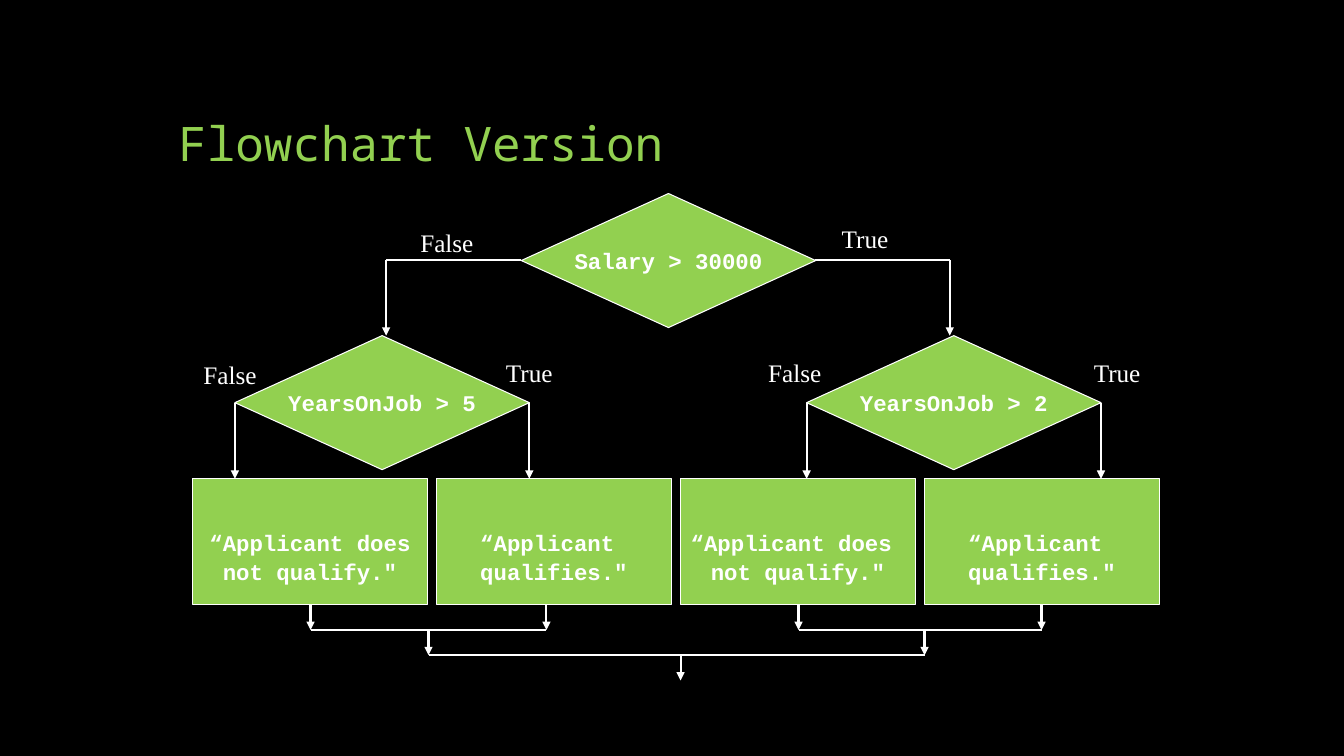
from pptx import Presentation
from pptx.dml.color import RGBColor
from pptx.enum import shapes, text
from pptx.oxml import ns
from pptx.util import Inches, Pt
from lxml import etree

# Content
TITLE = "Flowchart Version"
TESTS = [("Salary > 30000", 5.17, 1.92),
         ("YearsOnJob > 5", 2.33, 3.33),
         ("YearsOnJob > 2", 8, 3.33)]
RESULTS = [(" “Applicant does ", "not qualify.\""),
           ("“Applicant ", "qualifies.\""),
           ("“Applicant does ", "not qualify.\""),
           ("“Applicant ", "qualifies.\"")]
LABELS = [("False", 4.07, 2.21), ("True", 8.25, 2.17),
          ("False", 1.92, 3.52), ("True", 4.92, 3.5),
          ("False", 7.52, 3.5), ("True", 10.75, 3.5)]
GREEN, WHITE, BLACK = "92D050", "FFFFFF", "000000"

# Layout in inches
TEST_W, TEST_H = 2.92, 1.33
BOX_X, BOX_Y, BOX_W, BOX_H, BOX_STEP = 1.91, 4.75, 2.33, 1.25, 2.42
SPLIT_Y, TEST_Y, SIDE_Y = 2.58, 3.33, 4
EXIT_Y, STEP = BOX_Y + BOX_H, 0.25
JOIN_Y, LAST_Y = EXIT_Y + STEP, EXIT_Y + 2 * STEP
BRANCHES = [(5.17, 3.83), (8.08, 9.42)]         # side of the top test, drop
JOINS = [(3.08, 5.42, 4.25), (7.92, 10.33, 9.17)]  # left, right, exit
END_X = 6.75

prs = Presentation()
prs.slide_width, prs.slide_height = Inches(13.33), Inches(7.5)
slide = prs.slides.add_slide(prs.slide_layouts[5])


def color(code):
    return RGBColor.from_string(code)


def style(par, face, size, code, bold=False):
    font = par.font
    font.name, font.size, font.bold = face, Pt(size), bold
    font.color.rgb = color(code)


def add_node(kind, lines, x, y, w, h, top=0.05):
    node = slide.shapes.add_shape(kind, *map(Inches, (x, y, w, h)))
    node.shadow.inherit = False
    node.fill.solid()
    node.fill.fore_color.rgb = color(GREEN)
    node.line.color.rgb = color(WHITE)
    node.line.width = Pt(0.75)
    frame = node.text_frame
    frame.word_wrap = False
    frame.vertical_anchor = text.MSO_ANCHOR.MIDDLE
    frame.margin_top = Inches(top)
    frame.text = "\n".join(lines)
    for par in frame.paragraphs:
        par.alignment = text.PP_ALIGN.CENTER
        style(par, "Courier New", 16, WHITE, True)
    for par in frame.paragraphs[1:]:
        par.space_before = Pt(1.5)


def add_line(x1, y1, x2, y2, arrow=False):
    line = slide.shapes.add_connector(
        shapes.MSO_CONNECTOR.STRAIGHT, *map(Inches, (x1, y1, x2, y2)))
    line.line.color.rgb = color(WHITE)
    line.line.width = Pt(1.5)
    if arrow:
        etree.SubElement(line.line._get_or_add_ln(), ns.qn("a:tailEnd"),
                         type="triangle")
    etree.SubElement(line._element.spPr, ns.qn("a:effectLst"))


def add_drop(x, top, end):
    add_line(x, top, x, end, arrow=True)


# Background and title
slide.background.fill.solid()
slide.background.fill.fore_color.rgb = color(BLACK)
title = slide.shapes.title
title.left, title.top, title.width, title.height = map(
    Inches, (1.67, 0.5, 10, 1.25))
title.text = TITLE
title.text_frame.auto_size = text.MSO_AUTO_SIZE.NONE
title.text_frame.vertical_anchor = text.MSO_ANCHOR.BOTTOM
head = title.text_frame.paragraphs[0]
head.alignment, head.line_spacing = text.PP_ALIGN.LEFT, 0.9
style(head, "Noto Sans Mono", 34, GREEN)

# Tests and results
for words, x, y in TESTS:
    add_node(shapes.MSO_SHAPE.FLOWCHART_DECISION, [words],
             x, y, TEST_W, TEST_H)
for i, lines in enumerate(RESULTS):
    add_node(shapes.MSO_SHAPE.FLOWCHART_PROCESS, lines,
             BOX_X + i * BOX_STEP, BOX_Y, BOX_W, BOX_H, top=0.35)

# Branches from the tests
for side, drop in BRANCHES:
    add_line(side, SPLIT_Y, drop, SPLIT_Y)
    add_drop(drop, SPLIT_Y, TEST_Y)
for _, x, _ in TESTS[1:]:
    for side in (x, x + TEST_W):
        add_drop(side, SIDE_Y, BOX_Y)

# Joins below the results
for left, right, out in JOINS:
    for x in (left, right):
        add_drop(x, EXIT_Y, JOIN_Y)
    add_line(left, JOIN_Y, right, JOIN_Y)
    add_drop(out, JOIN_Y, LAST_Y)
add_line(JOINS[0][2], LAST_Y, JOINS[1][2], LAST_Y)
add_drop(END_X, LAST_Y, LAST_Y + STEP)

# Branch labels
for words, x, y in LABELS:
    width = 0.73 if words == "False" else 0.67
    label = slide.shapes.add_textbox(*map(Inches, (x, y, width, 0.4)))
    frame = label.text_frame
    frame.word_wrap = False
    frame.auto_size = text.MSO_AUTO_SIZE.SHAPE_TO_FIT_TEXT
    frame.text = words
    style(frame.paragraphs[0], "Times New Roman", 18, WHITE)

prs.save("out.pptx")
